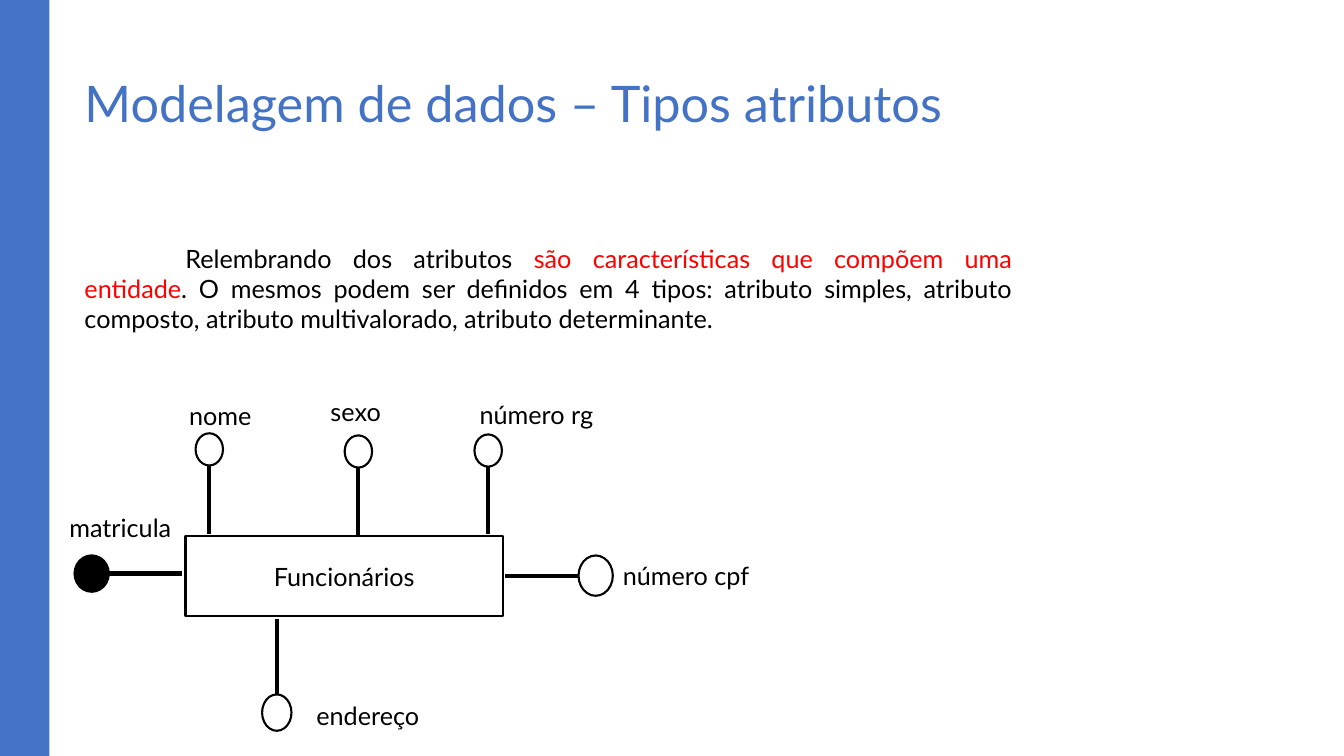
from lxml import etree
from pptx import Presentation
from pptx import util as u
from pptx.dml.color import RGBColor
from pptx.enum import shapes, text
from pptx.oxml import ns

BLUE = RGBColor(0x44, 0x72, 0xC4)
RED = RGBColor(0xFF, 0x00, 0x00)
BLACK = RGBColor(0x00, 0x00, 0x00)
WHITE = RGBColor(0xFF, 0xFF, 0xFF)

UP, DOWN, LEFT, RIGHT = (0, -1), (0, 1), (-1, 0), (1, 0)

# name, circle centre, circle size, fill, direction of stem, stem length, label left, top, width
ATTRIBUTES = [
    ("nome", (149.5, 321), (19.6, 23), WHITE, DOWN, 49, (128, 282.2, 59)),
    ("sexo", (256, 322.5), (19.6, 23), WHITE, DOWN, 48, (229, 279.4, 50.4)),
    ("número rg", (348.7, 321.8), (19.6, 23), WHITE, DOWN, 48, (335.5, 281.5, 98)),
    ("número cpf", (425.5, 411.2), (24.5, 28.8), WHITE, LEFT, 52.5, (437.8, 396.7, 107.3)),
    ("endereço", (197.7, 509), (21, 26), WHITE, UP, 54, (218.9, 496.8, 90)),
    ("matricula", (65.5, 409.7), (24.5, 26), BLACK, RIGHT, 52.5, (42.5, 362.2, 92.9)),
]


class Diagram:
    font = "Lato"
    size = 18
    outline = 1.5
    stem_width = 3

    def __init__(self, slide):
        self.slide = slide

    def style(self, paragraph, size=None, color=BLACK):
        paragraph.font.name = self.font
        paragraph.font.size = u.Pt(size or self.size)
        if color is not None:
            paragraph.font.color.rgb = color

    def shape(self, kind, left, top, width, height, fill, line=BLACK):
        shape = self.slide.shapes.add_shape(
            kind, u.Pt(left), u.Pt(top), u.Pt(width), u.Pt(height))
        shape.shadow.inherit = False
        shape.fill.solid()
        shape.fill.fore_color.rgb = fill
        if line is None:
            shape.line.fill.background()
        else:
            shape.line.color.rgb = line
            shape.line.width = u.Pt(self.outline)
        return shape

    def entity(self, name, left, top, width, height):
        shape = self.shape(shapes.MSO_SHAPE.RECTANGLE, left, top, width, height, WHITE)
        shape.text_frame.vertical_anchor = text.MSO_ANCHOR.MIDDLE
        paragraph = shape.text_frame.paragraphs[0]
        paragraph.text = name
        paragraph.alignment = text.PP_ALIGN.CENTER
        self.style(paragraph)

    def text_box(self, content, left, top, width, height, wrap=True, size=None, color=BLACK):
        box = self.slide.shapes.add_textbox(
            u.Pt(left), u.Pt(top), u.Pt(width), u.Pt(height))
        box.text_frame.word_wrap = wrap
        paragraph = box.text_frame.paragraphs[0]
        paragraph.text = content
        self.style(paragraph, size, color)
        return paragraph

    def rich_text(self, parts, left, top, width, height, indent):
        """Justified paragraph of (text, colour) parts with an indented first line."""
        paragraph = self.text_box("", left, top, width, height, color=None)
        paragraph.alignment = text.PP_ALIGN.JUSTIFY
        paragraph._p.get_or_add_pPr().set("indent", str(u.Pt(indent)))
        for content, color in parts:
            run = paragraph.add_run()
            run.text = content
            run.font.color.rgb = color

    def stem(self, start, end):
        line = self.slide.shapes.add_connector(
            shapes.MSO_CONNECTOR.STRAIGHT, *(u.Pt(value) for value in (*start, *end)))
        line.line.color.rgb = BLACK
        line.line.width = u.Pt(self.stem_width)
        etree.SubElement(line._element.spPr, ns.qn("a:effectLst"))

    def attribute(self, name, centre, size, fill, direction, length, label):
        """Circle with a stem that leaves its edge towards the entity, and a label."""
        start = [c + d * s / 2 for c, d, s in zip(centre, direction, size)]
        end = [s + d * length for s, d in zip(start, direction)]
        self.stem(start, end)
        left, top = (c - s / 2 for c, s in zip(centre, size))
        self.shape(shapes.MSO_SHAPE.FLOWCHART_CONNECTOR, left, top, *size, fill)
        self.text_box(name, *label, 29, wrap=False)


def main():
    presentation = Presentation()
    presentation.slide_width = u.Pt(960)
    presentation.slide_height = u.Pt(540)
    diagram = Diagram(presentation.slides.add_slide(presentation.slide_layouts[6]))

    diagram.shape(shapes.MSO_SHAPE.RECTANGLE, 0, 0, 35.3, 540, BLUE, line=None)
    diagram.text_box("Modelagem de dados – Tipos atributos",
                     53.3, 48.2, 676.8, 103.7, size=36, color=BLUE)
    diagram.rich_text([
        ("Relembrando dos atributos ", BLACK),
        ("são características que compõem uma entidade", RED),
        (". O mesmos podem ser definidos em 4 tipos: atributo simples, atributo composto, "
         "atributo multivalorado, atributo determinante.", BLACK),
    ], 53.3, 170, 676.8, 305.3, indent=72)

    diagram.entity("Funcionários", 132.5, 383, 226.8, 56.9)
    for attribute in ATTRIBUTES:
        diagram.attribute(*attribute)

    presentation.save("out.pptx")


if __name__ == "__main__":
    main()
